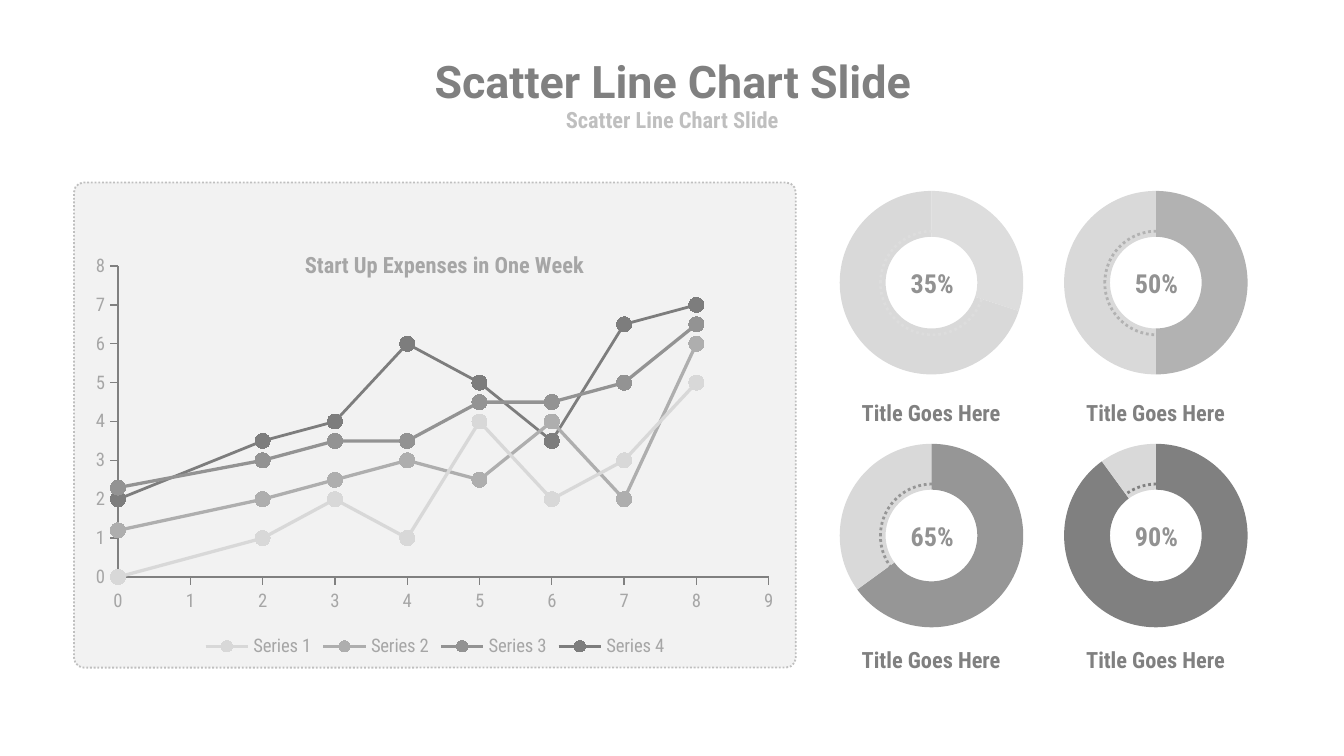
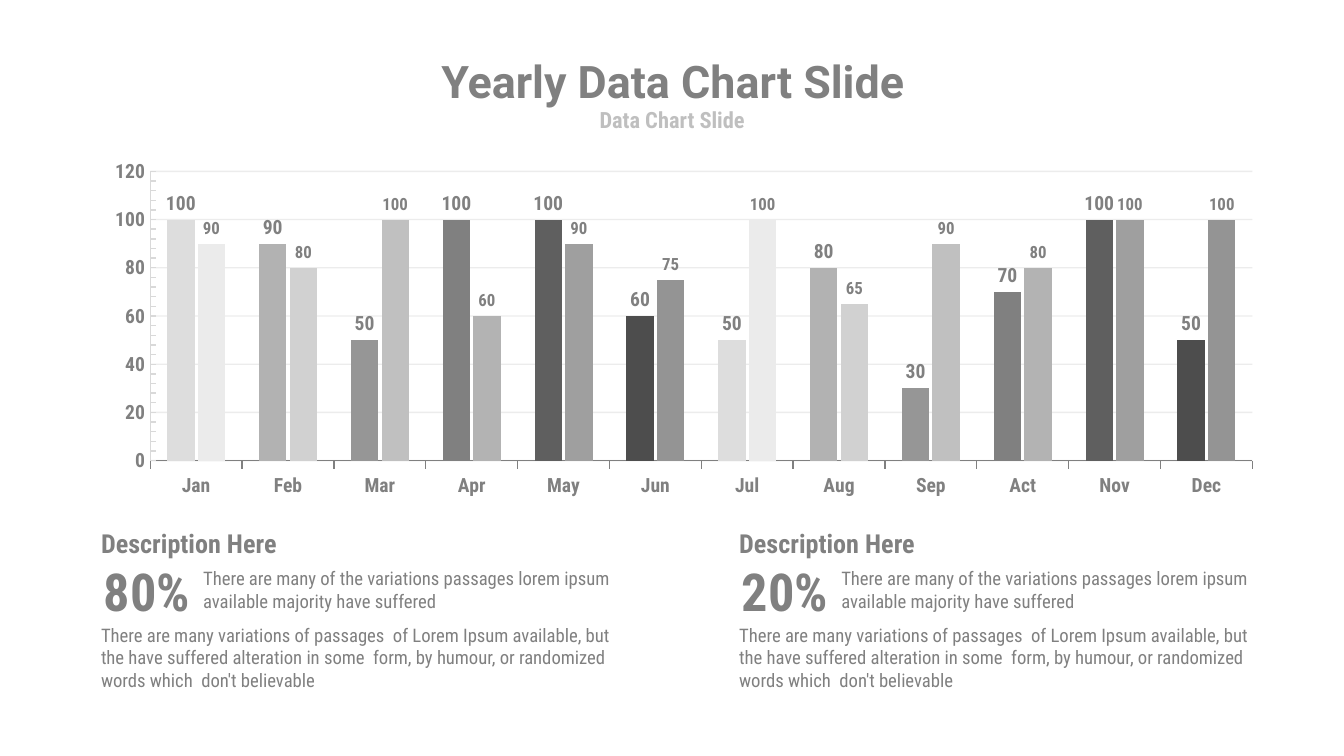
"""Build two grayscale chart slides: a scatter chart with doughnuts and a yearly column chart."""

import dataclasses
import typing

import lxml.etree
import pptx
import pptx.chart.axis
import pptx.chart.chart
import pptx.chart.data
import pptx.dml.color
import pptx.enum.chart
import pptx.enum.dml
import pptx.enum.shapes
import pptx.enum.text
import pptx.oxml.ns
import pptx.slide
import pptx.text.text
import pptx.util

Cm = pptx.util.Cm
Pt = pptx.util.Pt
RGBColor = pptx.dml.color.RGBColor
ChartType = pptx.enum.chart.XL_CHART_TYPE
TickMark = pptx.enum.chart.XL_TICK_MARK
Align = pptx.enum.text.PP_ALIGN
Anchor = pptx.enum.text.MSO_ANCHOR
AutoSize = pptx.enum.text.MSO_AUTO_SIZE
qn = pptx.oxml.ns.qn

TITLE_FONT = "Roboto"
TEXT_FONT = "Roboto Condensed"
GRAY = RGBColor(0x80, 0x80, 0x80)
PERCENT_GRAY = RGBColor(0x92, 0x92, 0x92)
AXIS_GRAY = RGBColor(0xA6, 0xA6, 0xA6)
SUBTITLE_GRAY = RGBColor(0xBF, 0xBF, 0xBF)
TRACK_GRAY = RGBColor(0xD9, 0xD9, 0xD9)
PANEL_GRAY = RGBColor(0xF2, 0xF2, 0xF2)
STRONG_BARS = [RGBColor.from_string(code) for code in ("DDDDDD", "B2B2B2", "969696", "808080", "5F5F5F", "4D4D4D")]
SOFT_BARS = [RGBColor.from_string(code) for code in ("EBEBEB", "D1D1D1", "C0C0C0", "B3B3B3", "9F9F9F", "949494")]


@dataclasses.dataclass(frozen=True)
class Box:
    left: float
    top: float
    width: float
    height: float

    def lengths(self) -> tuple:
        return Cm(self.left), Cm(self.top), Cm(self.width), Cm(self.height)

    def moved(self, right: float, down: float = 0) -> "Box":
        return dataclasses.replace(self, left=self.left + right, top=self.top + down)


@dataclasses.dataclass(frozen=True)
class Style:
    size: float
    color: RGBColor = GRAY
    bold: bool = False
    name: str = TEXT_FONT
    align: Align = Align.LEFT


@dataclasses.dataclass(frozen=True)
class Curve:
    name: str
    color: RGBColor
    width: float
    values: tuple


@dataclasses.dataclass(frozen=True)
class Ring:
    label: str
    share: int
    color: RGBColor


@dataclasses.dataclass(frozen=True)
class Bars:
    name: str
    colors: list
    label_size: float
    values: tuple


TITLE = Style(24, bold=True, name=TITLE_FONT, align=Align.CENTER)
SUBTITLE = Style(12, SUBTITLE_GRAY, True, align=Align.CENTER)
CAPTION = Style(12, bold=True, align=Align.CENTER)
PERCENT = Style(14, PERCENT_GRAY, True, align=Align.CENTER)
SCATTER_TEXT = Style(10, AXIS_GRAY)
CHART_TITLE = Style(12, AXIS_GRAY, True, align=Align.CENTER)
COLUMN_TEXT = Style(10.5, bold=True)
BODY = Style(10)
HEADING = Style(14, bold=True)
FIGURE = Style(28, bold=True)

CURVE_X = (0, 2, 3, 4, 5, 6, 7, 8)
CURVES = (
    Curve("Series 1", RGBColor(0xD8, 0xD8, 0xD8), 1.75, (0, 1, 2, 1, 4, 2, 3, 5)),
    Curve("Series 2", RGBColor(0xAE, 0xAE, 0xAE), 1.75, (1.2, 2, 2.5, 3, 2.5, 4, 2, 6)),
    Curve("Series 3", RGBColor(0x93, 0x93, 0x93), 1.75, (2.3, 3, 3.5, 3.5, 4.5, 4.5, 5, 6.5)),
    Curve("Series 4", RGBColor(0x7D, 0x7D, 0x7D), 1.5, (2, 3.5, 4, 6, 5, 3.5, 6.5, 7)),
)
RINGS = (
    Ring("35%", 30, STRONG_BARS[0]),
    Ring("50%", 50, STRONG_BARS[1]),
    Ring("65%", 65, STRONG_BARS[2]),
    Ring("90%", 90, STRONG_BARS[3]),
)
MONTHS = ("Jan", "Feb", "Mar", "Apr", "May", "Jun", "Jul", "Aug", "Sep", "Act", "Nov", "Dec")
BARS = (
    Bars("Series 1", STRONG_BARS, 10.5, (100, 90, 50, 100, 100, 60, 50, 80, 30, 70, 100, 50)),
    Bars("Series 2", SOFT_BARS, 9, (90, 80, 100, 60, 90, 75, 100, 65, 90, 80, 100, 100)),
)
SUMMARY = "There are many of the variations passages lorem ipsum available majority have suffered"
DETAIL = (
    "There are many variations of passages  of Lorem Ipsum available, but the have suffered alteration "
    "in some  form, by humour, or randomized words which  don't believable"
)


def set_font(font: pptx.text.text.Font, style: Style) -> None:
    font.size, font.bold, font.name = Pt(style.size), style.bold, style.name
    font.color.rgb = style.color


def write(frame: pptx.text.text.TextFrame, text: str, style: Style) -> None:
    frame.text = text
    para = frame.paragraphs[0]
    para.alignment = style.align
    set_font(para.runs[0].font, style)


def clear_margins(frame: pptx.text.text.TextFrame) -> None:
    frame.margin_left = frame.margin_top = frame.margin_right = frame.margin_bottom = 0


def add_text(shapes: typing.Any, box: Box, text: str, style: Style, wrap: bool = True) -> None:
    frame = shapes.add_textbox(*box.lengths()).text_frame
    clear_margins(frame)
    frame.word_wrap = wrap
    frame.auto_size = AutoSize.SHAPE_TO_FIT_TEXT
    write(frame, text, style)


def fill_placeholder(holder: typing.Any, box: Box, text: str, style: Style) -> None:
    holder.left, holder.top, holder.width, holder.height = box.lengths()
    frame = holder.text_frame
    clear_margins(frame)
    frame.word_wrap = False
    frame.auto_size = AutoSize.NONE
    frame.vertical_anchor = Anchor.MIDDLE
    write(frame, text, style)
    para = frame.paragraphs[0]
    para.space_before = Pt(0)
    properties = para._p.get_or_add_pPr()
    properties.set("marL", "0")
    properties.set("indent", "0")
    lxml.etree.SubElement(properties, qn("a:buNone"))


def add_slide(deck: typing.Any, title: str, subtitle: str) -> pptx.slide.Slide:
    slide = deck.slides.add_slide(deck.slide_layouts[1])
    fill_placeholder(slide.shapes.title, Box(4.88, 1.02, 15.67, 0.99), title, TITLE)
    fill_placeholder(slide.placeholders[1], Box(6.99, 1.98, 11.43, 0.56), subtitle, SUBTITLE)
    return slide


def add_outline(slide: pptx.slide.Slide, kind: typing.Any, box: Box, color: RGBColor, width: float) -> typing.Any:
    shape = slide.shapes.add_shape(kind, *box.lengths())
    shape.shadow.inherit = False
    shape.fill.background()
    shape.line.color.rgb = color
    shape.line.width = Pt(width)
    shape.line.dash_style = pptx.enum.dml.MSO_LINE.ROUND_DOT
    return shape


def set_layout(parent: typing.Any, fractions: dict) -> None:
    layout = parent.find(qn("c:layout"))
    if layout is None:
        layout = lxml.etree.Element(qn("c:layout"))
        parent.insert(0, layout)
    manual = lxml.etree.SubElement(layout, qn("c:manualLayout"))
    for tag, value in fractions.items():
        lxml.etree.SubElement(manual, qn(f"c:{tag}")).set("val", str(value))


def add_chart(
    slide: pptx.slide.Slide, kind: typing.Any, box: Box, plot: Box, data: typing.Any, style: Style
) -> pptx.chart.chart.Chart:
    chart = slide.shapes.add_chart(kind, *box.lengths(), data).chart
    chart.has_title = False
    chart.has_legend = False
    set_font(chart.font, style)
    chart.plots[0].vary_by_categories = False
    fractions = {
        "layoutTarget": "inner",
        "xMode": "edge",
        "yMode": "edge",
        "x": (plot.left - box.left) / box.width,
        "y": (plot.top - box.top) / box.height,
        "w": plot.width / box.width,
        "h": plot.height / box.height,
    }
    set_layout(chart.element.find(".//" + qn("c:plotArea")), fractions)
    return chart


def style_axis(axis: pptx.chart.axis._BaseAxis, style: Style, color: RGBColor, tick: TickMark) -> None:
    axis.major_tick_mark = tick
    axis.minor_tick_mark = TickMark.NONE
    axis.format.line.color.rgb = color
    axis.format.line.width = Pt(0.75)
    set_font(axis.tick_labels.font, style)


def set_scale(axis: pptx.chart.axis.ValueAxis, maximum: float, step: float) -> None:
    axis.minimum_scale, axis.maximum_scale, axis.major_unit = 0, maximum, step


def set_gridlines(axis: pptx.chart.axis.ValueAxis, color: RGBColor) -> None:
    axis.has_major_gridlines = True
    axis.major_gridlines.format.line.color.rgb = color
    axis.major_gridlines.format.line.width = Pt(0.75)


def add_scatter(slide: pptx.slide.Slide) -> None:
    data = pptx.chart.data.XyChartData()
    for curve in CURVES:
        series = data.add_series(curve.name)
        for x, y in zip(CURVE_X, curve.values):
            series.add_data_point(x, y)
    box, plot = Box(1.55, 3.58, 13.34, 8.94), Box(2.23, 5.03, 12.3, 5.88)
    chart = add_chart(slide, ChartType.XY_SCATTER_SMOOTH, box, plot, data, SCATTER_TEXT)
    chart.has_title = True
    write(chart.chart_title.text_frame, "Start Up Expenses in One Week", CHART_TITLE)
    set_layout(chart.element.find(".//" + qn("c:title")), {"xMode": "edge", "yMode": "edge", "x": 0.31, "y": 0.12})
    chart.has_legend = True
    chart.legend.position = pptx.enum.chart.XL_LEGEND_POSITION.BOTTOM
    chart.legend.include_in_layout = False
    set_font(chart.legend.font, SCATTER_TEXT)
    for axis, maximum in ((chart.category_axis, 9), (chart.value_axis, 8)):
        style_axis(axis, SCATTER_TEXT, GRAY, TickMark.OUTSIDE)
        set_scale(axis, maximum, 1)
    chart.category_axis.has_major_gridlines = False
    chart.category_axis.tick_label_position = pptx.enum.chart.XL_TICK_LABEL_POSITION.LOW
    set_gridlines(chart.value_axis, PANEL_GRAY)
    for series, curve in zip(chart.plots[0].series, CURVES):
        series.smooth = True
        series.format.line.color.rgb = curve.color
        series.format.line.width = Pt(curve.width)
        series.marker.style = pptx.enum.chart.XL_MARKER_STYLE.CIRCLE
        series.marker.size = 8
        series.marker.format.fill.solid()
        series.marker.format.fill.fore_color.rgb = curve.color
        series.marker.format.line.color.rgb = curve.color


def add_ring(slide: pptx.slide.Slide, ring: Ring, column: int, row: int) -> None:
    right, down = column * 4.24, row * 4.78
    data = pptx.chart.data.CategoryChartData()
    data.categories = ("1", "2")
    data.add_series("Series 1", (ring.share, 100 - ring.share))
    box, plot = Box(15.52, 3.12, 4.17, 4.39).moved(right, down), Box(15.87, 3.61, 3.47, 3.47).moved(right, down)
    chart = add_chart(slide, ChartType.DOUGHNUT, box, plot, data, Style(18, RGBColor(0, 0, 0)))
    chart.element.find(".//" + qn("c:holeSize")).set("val", "70")
    for index, color in enumerate((ring.color, TRACK_GRAY)):
        point = chart.plots[0].series[0].points[index]
        point.format.fill.solid()
        point.format.fill.fore_color.rgb = color
        point.format.line.fill.background()
    circle_box = Box(16.64, 4.37, 1.96, 1.96).moved(right, down)
    circle = add_outline(slide, pptx.enum.shapes.MSO_SHAPE.OVAL, circle_box, ring.color, 1.5)
    circle.text_frame.vertical_anchor = Anchor.MIDDLE
    write(circle.text_frame, ring.label, PERCENT)
    add_text(slide.shapes, Box(16.05, 7.54, 3.1, 1.02).moved(right, row * 4.67), "Title Goes Here", CAPTION)


def add_columns(slide: pptx.slide.Slide) -> None:
    data = pptx.chart.data.CategoryChartData()
    data.categories = MONTHS
    for bars in BARS:
        data.add_series(bars.name, bars.values)
    box, plot = Box(0.64, 2.92, 23.7, 6.83), Box(2.84, 3.24, 20.83, 5.47)
    chart = add_chart(slide, ChartType.COLUMN_CLUSTERED, box, plot, data, COLUMN_TEXT)
    chart.plots[0].gap_width, chart.plots[0].overlap = 124, -12
    style_axis(chart.category_axis, COLUMN_TEXT, GRAY, TickMark.OUTSIDE)
    style_axis(chart.value_axis, COLUMN_TEXT, TRACK_GRAY, TickMark.NONE)
    set_scale(chart.value_axis, 120, 20)
    chart.value_axis.minor_unit = 4
    chart.value_axis.minor_tick_mark = TickMark.INSIDE
    set_gridlines(chart.value_axis, TRACK_GRAY)
    grid_color = chart.element.find(".//" + qn("c:majorGridlines")).find(".//" + qn("a:srgbClr"))
    lxml.etree.SubElement(grid_color, qn("a:alpha")).set("val", "48000")
    for series, bars in zip(chart.plots[0].series, BARS):
        series.format.fill.solid()
        series.format.fill.fore_color.rgb = bars.colors[0]
        for index in range(len(MONTHS)):
            fill = series.points[index].format.fill
            fill.solid()
            fill.fore_color.rgb = bars.colors[index % len(bars.colors)]
        labels = series.data_labels
        labels.show_value = True
        labels.position = pptx.enum.chart.XL_LABEL_POSITION.OUTSIDE_END
        set_font(labels.font, Style(bars.label_size, bold=True))


def add_description(slide: pptx.slide.Slide, figure: str, right: float) -> None:
    shapes = slide.shapes.add_group_shape().shapes
    add_text(shapes, Box(3.84, 10.72, 8.36, 0.86).moved(right), SUMMARY, BODY)
    add_text(shapes, Box(1.91, 9.96, 4.29, 0.61).moved(right), "Description Here", HEADING)
    add_text(shapes, Box(1.96, 10.57, 1.65, 1.19).moved(right), figure, FIGURE, wrap=False)
    add_text(shapes, Box(1.91, 11.79, 9.73, 1.27).moved(right), DETAIL, BODY)


def main() -> None:
    deck = pptx.Presentation()
    deck.slide_width, deck.slide_height = Cm(25.4), Cm(14.29)

    slide = add_slide(deck, "Scatter Line Chart Slide", "Scatter Line Chart Slide")
    panel_box = Box(1.4, 3.45, 13.64, 9.17)
    panel = add_outline(slide, pptx.enum.shapes.MSO_SHAPE.ROUNDED_RECTANGLE, panel_box, SUBTITLE_GRAY, 1)
    panel.adjustments[0] = 0.02
    panel.fill.solid()
    panel.fill.fore_color.rgb = PANEL_GRAY
    add_scatter(slide)
    for index, ring in enumerate(RINGS):
        add_ring(slide, ring, index % 2, index // 2)

    slide = add_slide(deck, "Yearly Data Chart Slide", "Data Chart Slide")
    add_columns(slide)
    for index, figure in enumerate(("80%", "20%")):
        add_description(slide, figure, index * 12.06)

    deck.save("out.pptx")


if __name__ == "__main__":
    main()
